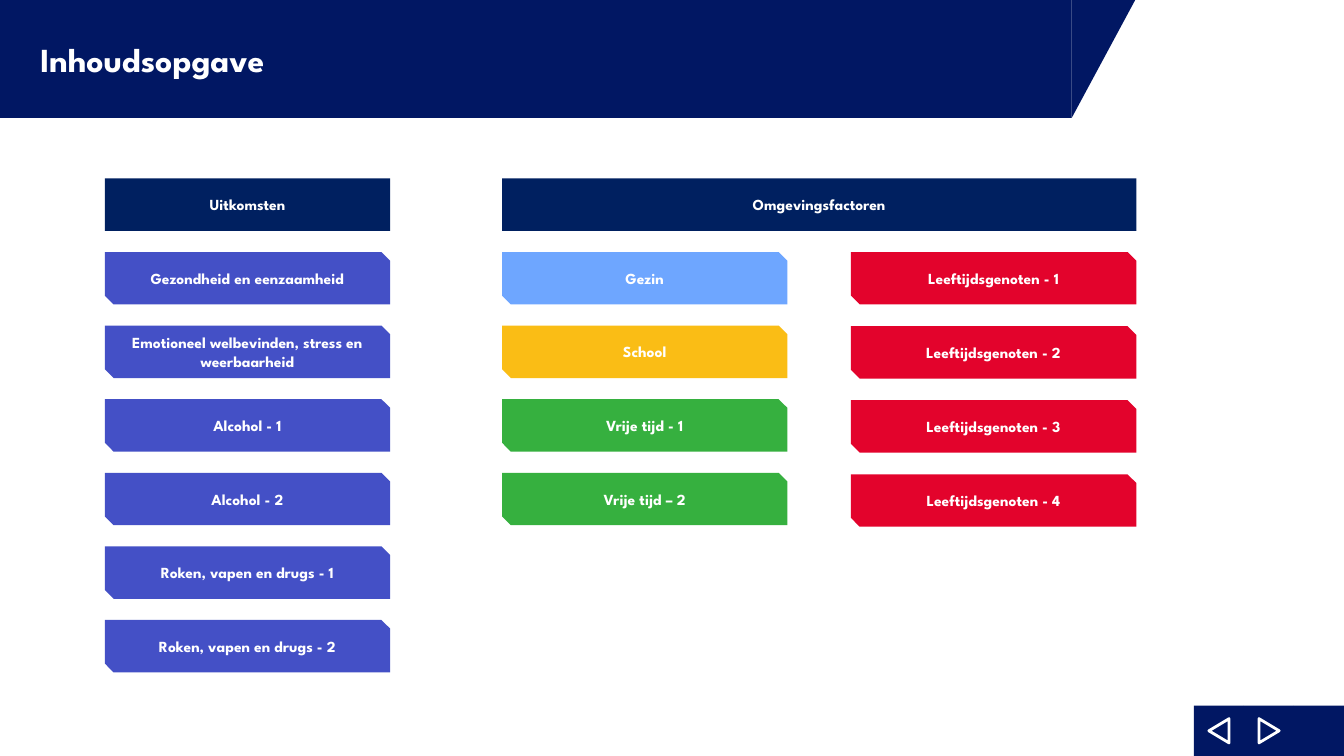
import pptx
import pptx.util
import pptx.dml.color
import pptx.enum.shapes
import pptx.enum.text

Inches = pptx.util.Inches
RGBColor = pptx.dml.color.RGBColor
Shape = pptx.enum.shapes.MSO_SHAPE
Align = pptx.enum.text.PP_ALIGN

FONT = "League Spartan"
WHITE = RGBColor(0xFF, 0xFF, 0xFF)
BANNER_BLUE = RGBColor(0x01, 0x17, 0x63)
HEADING_NAVY = RGBColor(0x00, 0x20, 0x60)
OUTCOME_INDIGO = RGBColor(0x44, 0x50, 0xC6)
FAMILY_BLUE = RGBColor(0x6E, 0xA6, 0xFF)
SCHOOL_YELLOW = RGBColor(0xFA, 0xBD, 0x15)
LEISURE_GREEN = RGBColor(0x36, 0xB0, 0x3F)
PEERS_RED = RGBColor(0xE3, 0x03, 0x2C)

BUTTON_WIDTH = 2.83
BUTTON_HEIGHT = 0.52
FIRST_BUTTON = 0.73  # from the top of the heading

OUTCOMES = [(text, OUTCOME_INDIGO) for text in (
    "Gezondheid en eenzaamheid",
    "Emotioneel welbevinden, stress en weerbaarheid",
    "Alcohol - 1",
    "Alcohol - 2",
    "Roken, vapen en drugs - 1",
    "Roken, vapen en drugs - 2",
)]
SURROUNDINGS = [
    ("Gezin", FAMILY_BLUE),
    ("School", SCHOOL_YELLOW),
    ("Vrije tijd - 1", LEISURE_GREEN),
    ("Vrije tijd – 2", LEISURE_GREEN),
]
PEERS = [(f"Leeftijdsgenoten - {number}", PEERS_RED) for number in range(1, 5)]


def add_filled_shape(slide, kind, left, top, width, height, color):
    shape = slide.shapes.add_shape(
        kind, Inches(left), Inches(top), Inches(width), Inches(height))
    shape.shadow.inherit = False
    shape.fill.solid()
    shape.fill.fore_color.rgb = color
    shape.line.fill.background()
    return shape


def set_text(shape, text, size, alignment):
    frame = shape.text_frame
    frame.text = text
    frame.word_wrap = True
    frame.auto_size = pptx.enum.text.MSO_AUTO_SIZE.NONE
    frame.vertical_anchor = pptx.enum.text.MSO_ANCHOR.MIDDLE
    paragraph = frame.paragraphs[0]
    paragraph.alignment = alignment
    paragraph.line_spacing = 1.0
    paragraph.font.name = FONT
    paragraph.font.size = pptx.util.Pt(size)
    paragraph.font.bold = True
    paragraph.font.color.rgb = WHITE


def add_banner(slide, left, top, width, height):
    title = slide.shapes.title
    title.left, title.top = Inches(left), Inches(top)
    title.width, title.height = Inches(width), Inches(height)
    title.fill.solid()
    title.fill.fore_color.rgb = BANNER_BLUE
    set_text(title, "Inhoudsopgave", 24, Align.LEFT)
    title.text_frame.margin_left = Inches(0.4)

    slant = add_filled_shape(slide, Shape.RIGHT_TRIANGLE, left + width, top,
                             0.63, height, BANNER_BLUE)
    slant._element.spPr.xfrm.set("flipV", "1")


def add_heading(slide, text, left, top, width):
    heading = add_filled_shape(slide, Shape.RECTANGLE, left, top, width,
                               BUTTON_HEIGHT, HEADING_NAVY)
    set_text(heading, text, 11, Align.CENTER)


def add_button_column(slide, buttons, left, top, pitch=0.73):
    for row, (text, color) in enumerate(buttons):
        button = add_filled_shape(slide, Shape.SNIP_2_DIAG_RECTANGLE, left,
                                  top + row * pitch, BUTTON_WIDTH,
                                  BUTTON_HEIGHT, color)
        set_text(button, text, 11, Align.CENTER)


def add_outcomes(slide, left, top):
    add_heading(slide, "Uitkomsten", left, top, BUTTON_WIDTH)
    add_button_column(slide, OUTCOMES, left, top + FIRST_BUTTON)


def add_surroundings(slide, left, top, width):
    add_heading(slide, "Omgevingsfactoren", left, top, width)
    add_button_column(slide, SURROUNDINGS, left, top + FIRST_BUTTON)
    add_button_column(slide, PEERS, left + width - BUTTON_WIDTH,
                      top + FIRST_BUTTON, pitch=0.735)


def add_navigation(slide, left, top, width, height):
    """Draw a bar of three tiles with back and forward arrows on the first two."""
    tile = width / 3
    for column, rotation in enumerate((270, 90, None)):
        tile_left = left + column * tile
        add_filled_shape(slide, Shape.RECTANGLE, tile_left, top, tile, height,
                         BANNER_BLUE)
        if rotation is not None:
            arrow = add_filled_shape(slide, Shape.ISOSCELES_TRIANGLE,
                                     tile_left + 0.13, top + 0.15, 0.24, 0.2,
                                     BANNER_BLUE)
            arrow.rotation = rotation
            arrow.line.color.rgb = WHITE
            arrow.line.width = pptx.util.Pt(2)


def main():
    presentation = pptx.Presentation()
    presentation.slide_width = Inches(13.33)
    presentation.slide_height = Inches(7.5)
    slide = presentation.slides.add_slide(presentation.slide_layouts[5])
    add_banner(slide, 0, 0, 10.63, 1.17)
    add_outcomes(slide, 1.04, 1.77)
    add_surroundings(slide, 4.98, 1.77, 6.29)
    add_navigation(slide, 11.84, 7, 1.49, 0.5)
    presentation.save("out.pptx")


if __name__ == "__main__":
    main()
